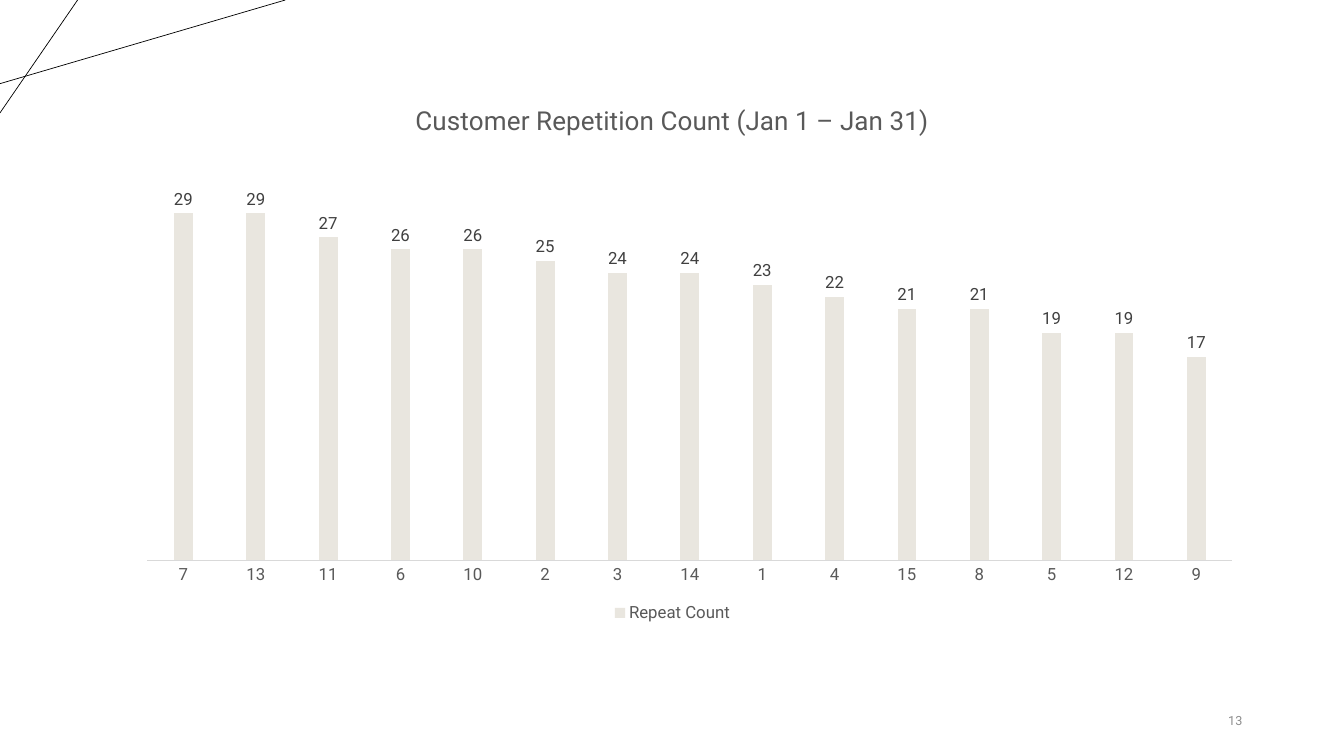
"""Build the customer repetition slide with its column chart."""
from dataclasses import dataclass

from lxml import etree
from pptx import Presentation
from pptx import util as u
from pptx.chart.data import CategoryChartData
from pptx.dml.color import RGBColor
from pptx.enum import chart as ch, shapes, text
from pptx.oxml import ns

FONT = "Roboto"
GREY = "595959"
COUNTS = {"7": 29, "13": 29, "11": 27, "6": 26, "10": 26, "2": 25, "3": 24, "14": 24,
          "1": 23, "4": 22, "15": 21, "8": 21, "5": 19, "12": 19, "9": 17}


@dataclass
class Stroke:
    x1: int
    y1: int
    x2: int
    y2: int


@dataclass
class Bars:
    name: str
    vals: list
    fill: str


STROKES = [Stroke(0, 83, 283, 0), Stroke(77, 0, 0, 112)]
BLANK = [None] * len(COUNTS)
SERIES = [Bars("Repeat Count", list(COUNTS.values()), "E9E6DF"),
          Bars("Series 2", BLANK, "ED7D31"),
          Bars("Series 3", BLANK, "A5A5A5")]


def px(n: int) -> u.Emu:
    return u.Emu(n * 9144)


def rgb(code: str) -> RGBColor:
    return RGBColor.from_string(code)


def style(font, size: float, code: str) -> None:
    font.name, font.size, font.bold = FONT, u.Pt(size), False
    font.color.rgb = rgb(code)


def draw(slide, s: Stroke) -> None:
    line = slide.shapes.add_connector(
        shapes.MSO_CONNECTOR.STRAIGHT, px(s.x1), px(s.y1), px(s.x2), px(s.y2))
    line.line.color.rgb = rgb("000000")
    line.line.width = u.Pt(0.5)
    etree.SubElement(line._element.spPr, ns.qn("a:effectLst"))


def fill_in(host, **marks) -> None:
    for name, val in marks.items():
        etree.SubElement(host, ns.qn(f"c:{name}"), val=str(val))


def place(area, **marks) -> None:
    box = area.find(ns.qn("c:layout"))
    if box is None:
        box = etree.Element(ns.qn("c:layout"))
        area.insert(0, box)
    fill_in(etree.SubElement(box, ns.qn("c:manualLayout")), **marks)


def number(slide, label: str) -> None:
    frame = slide.shapes.add_textbox(px(1134), px(695), px(108), px(40)).text_frame
    frame.word_wrap = True
    frame.vertical_anchor = text.MSO_ANCHOR.MIDDLE
    para = frame.paragraphs[0]
    para.alignment = text.PP_ALIGN.RIGHT
    run = para.add_run()
    run.text = label
    style(run.font, 9, "8C8C8C")


def legend(chart) -> None:
    chart.has_legend = True
    key = chart.legend
    key.position = ch.XL_LEGEND_POSITION.BOTTOM
    key.include_in_layout = False
    style(key.font, 12, GREY)
    for i in range(1, len(SERIES)):
        entry = etree.Element(ns.qn("c:legendEntry"))
        fill_in(entry, idx=i, delete=1)
        key._element.insert(i, entry)


def paint(series, bars: Bars) -> None:
    series.format.fill.solid()
    series.format.fill.fore_color.rgb = rgb(bars.fill)
    tags = series.data_labels
    tags.show_value = True
    tags.position = ch.XL_LABEL_POSITION.OUTSIDE_END
    style(tags.font, 12, "404040")


def graph(slide) -> None:
    data = CategoryChartData()
    data.categories = list(COUNTS)
    for bars in SERIES:
        data.add_series(bars.name, bars.vals)
    chart = slide.shapes.add_chart(
        ch.XL_CHART_TYPE.COLUMN_CLUSTERED, px(92), px(82), px(1150), px(540), data).chart
    style(chart.font, 10, "000000")

    run = chart.chart_title.text_frame.paragraphs[0].add_run()
    run.text = "Customer Repetition Count (Jan 1 – Jan 31)"
    style(run.font, 18.6, GREY)
    place(chart._chartSpace.chart.plotArea, layoutTarget="inner", xMode="edge",
          yMode="edge", x=0.047, y=0.108, w=0.936, h=0.77)
    legend(chart)

    axis = chart.category_axis
    axis.major_tick_mark = ch.XL_TICK_MARK.NONE
    axis.format.line.color.rgb = rgb("D9D9D9")
    axis.format.line.width = u.Pt(0.75)
    style(axis.tick_labels.font, 12, GREY)
    scale = chart.value_axis
    scale.minimum_scale, scale.maximum_scale = 0, 35
    scale.has_major_gridlines = False
    scale.visible = False

    plot = chart.plots[0]
    plot.gap_width, plot.overlap = 285, 100
    plot.vary_by_categories = False
    for series, bars in zip(plot.series, SERIES):
        paint(series, bars)


def main() -> None:
    deck = Presentation()
    deck.slide_width, deck.slide_height = px(1333), px(750)
    slide = deck.slides.add_slide(deck.slide_layouts[6])
    for stroke in STROKES:
        draw(slide, stroke)
    number(slide, "13")
    graph(slide)
    deck.save("out.pptx")


if __name__ == "__main__":
    main()
